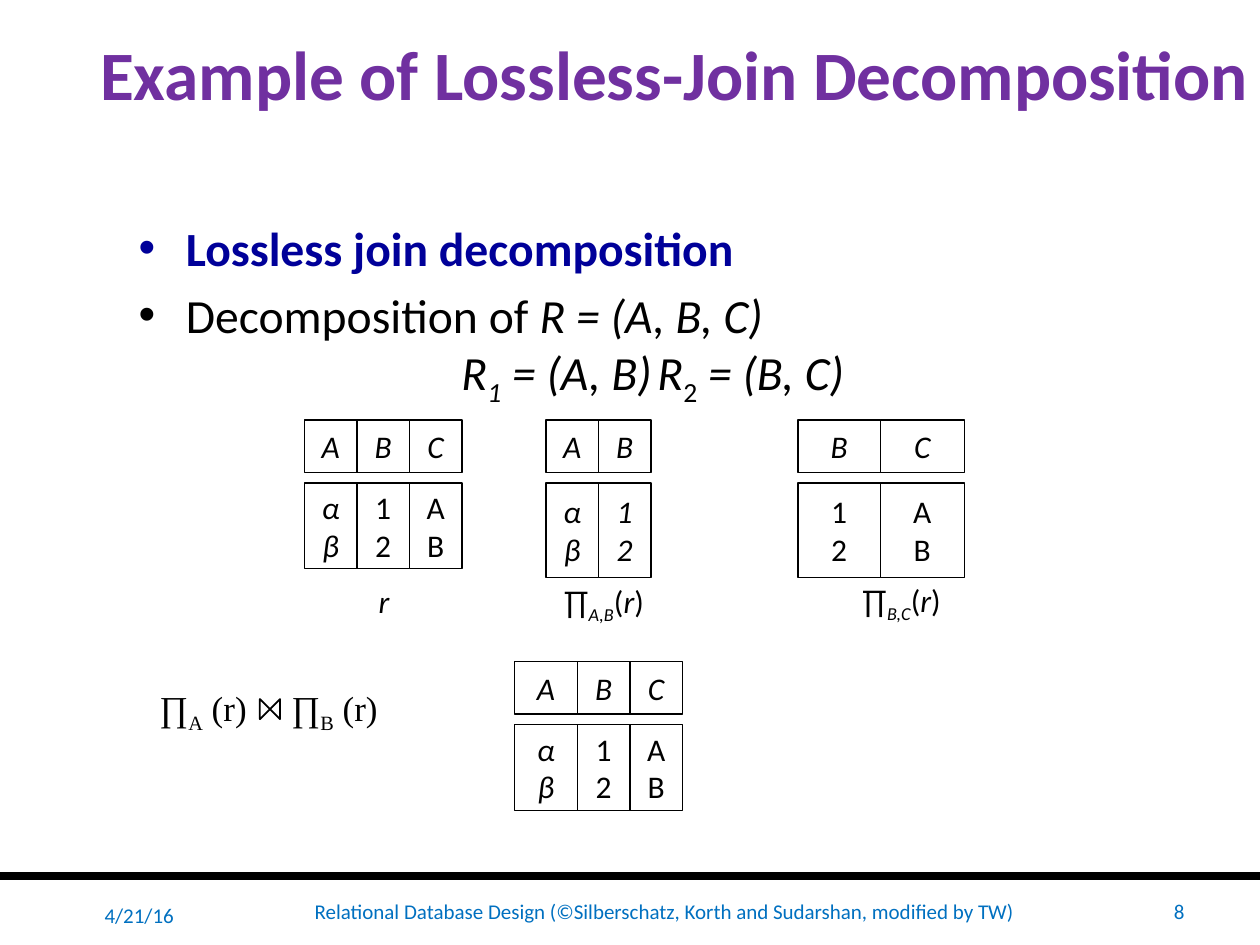
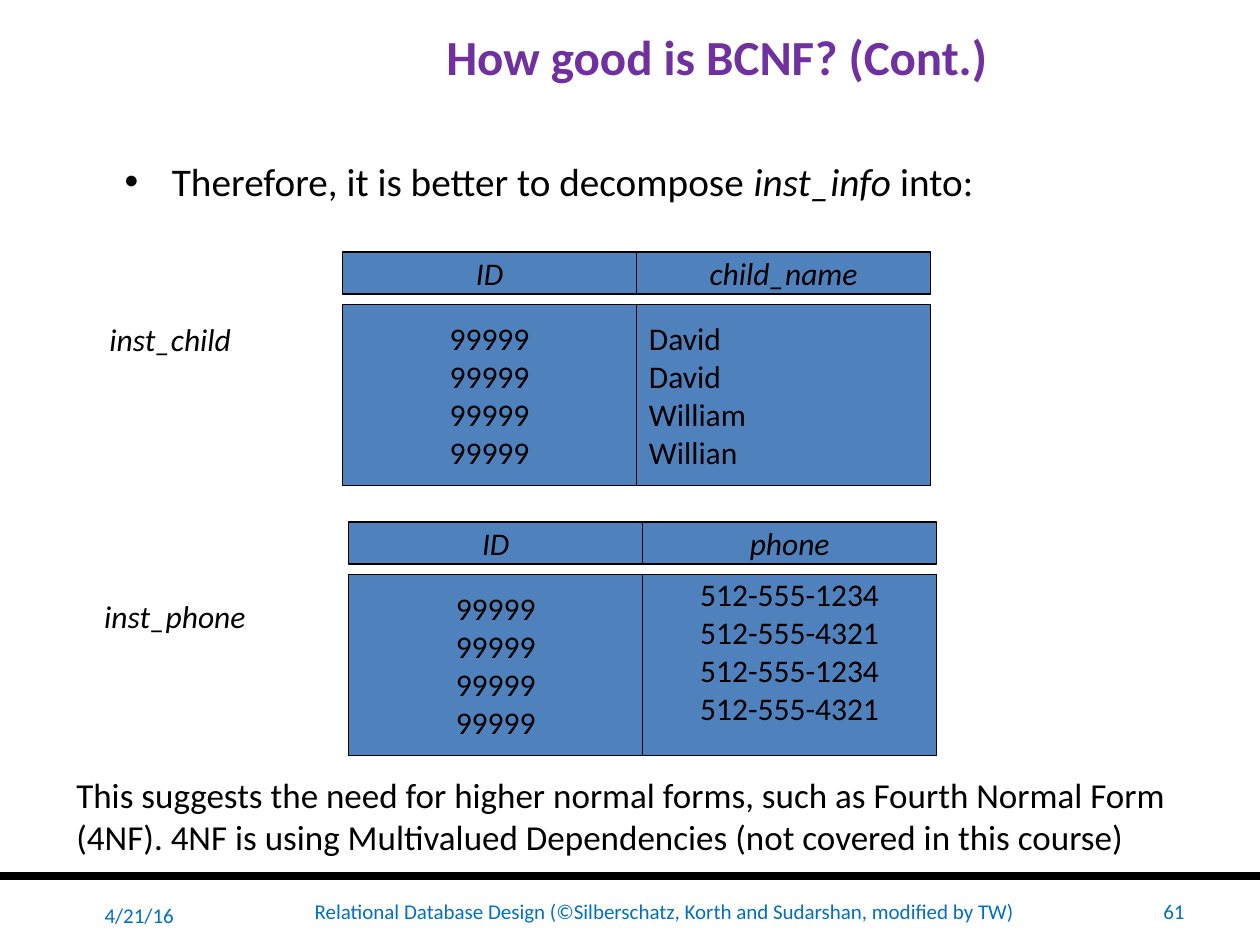
import copy
import pptx
import pptx.util
import pptx.dml.color
import pptx.enum.shapes
import pptx.enum.text
import pptx.oxml
import pptx.oxml.ns

Pt = pptx.util.Pt
qn = pptx.oxml.ns.qn
ALIGN = {"left": pptx.enum.text.PP_ALIGN.LEFT,
         "center": pptx.enum.text.PP_ALIGN.CENTER,
         "right": pptx.enum.text.PP_ALIGN.RIGHT}
ANCHOR = {"top": pptx.enum.text.MSO_ANCHOR.TOP,
          "middle": pptx.enum.text.MSO_ANCHOR.MIDDLE}

COLORS = {"title": "7030A0", "term": "000099", "ink": "000000",
          "footer": "0070C0", "paper": "FFFFFF", "table": "4F81BD"}
FONT = "Calibri"
SERIF = "Times New Roman"
HEADER_GAP = 6

FOOTER_DATE = "4/21/16"
FOOTER_TEXT = "Relational Database Design (©Silberschatz, Korth and Sudarshan, modified by TW)"

GREEK = ("α", "β")
DIGITS = ("1", "2")
LETTERS = ("A", "B")
IDS = ("99999",) * 4
CHILDREN = ("David", "David", "William", "Willian")
PHONES = ("512-555-1234", "512-555-4321") * 2


def projection(columns):
    return [[("∏", ""), (columns, "is"), ("(", ""), ("r", "i"), (")", "")]]


SLIDES = [
    {
        "number": "8",
        "title": ("Example of Lossless-Join Decomposition", (49.5, 0, 672, 83), 39.6),
        "body": ([
            [("Lossless join decomposition", "bt")],
            [("Decomposition of ", ""), ("R = (A, B, C)", "i"), ("\n", ""),
             ("\tR", "i"), ("1", "is"), (" = (A, B)\tR", "i"), ("2", "s"),
             (" = (B, C)", "i")],
        ], (72, 121.5, 551, 95), 27.2),
        "tabs": (184.5, 296.5),
        "fill": "paper",
        "header_height": 30,
        "tables": [
            {"at": (174, 240), "widths": (30, 30, 30), "height": 49,
             "columns": [("A", GREEK, "i"), ("B", DIGITS, ""), ("C", LETTERS, "")]},
            {"at": (312, 240), "widths": (30, 30), "height": 54,
             "columns": [("A", GREEK, "i"), ("B", DIGITS, "i")]},
            {"at": (456, 240), "widths": (47, 48), "height": 54,
             "columns": [("B", DIGITS, ""), ("C", LETTERS, "")]},
            {"at": (294, 378), "widths": (36, 30, 30), "height": 49,
             "columns": [("A", GREEK, "i"), ("B", DIGITS, ""), ("C", LETTERS, "")]},
        ],
        "texts": [
            ([[("r", "i")]], (209.5, 329, 20, 29),
             {"align": "center", "anchor": "middle", "wrap": False}),
            (projection("A,B"), (294, 330.5, 102, 29),
             {"align": "center", "anchor": "middle"}),
            (projection("B,C"), (474, 330, 82, 29),
             {"align": "center", "anchor": "middle"}),
            ([[("∏", ""), ("A", "s"), (" (r)\t∏", ""), ("B", "s"), (" (r)", "")]],
             (84, 389, 198, 68), {"size": 20, "font": SERIF, "tabs": (75.5,)}),
        ],
        "join_sign": (148.5, 399.5, 11.5),
    },
    {
        "number": "61",
        "title": ("How good is BCNF? (Cont.)", (129, 9.5, 561, 45), 28),
        "body": ([[("Therefore, it is better to decompose ", ""),
                   ("inst_info ", "i"), ("into:", "")]], (64, 86.5, 529, 42), 22.4),
        "tabs": (),
        "fill": "table",
        "header_height": 24,
        "tables": [
            {"at": (195.75, 144), "widths": (168, 168), "height": 103.5,
             "columns": [("ID", IDS, ""), ("child_name", CHILDREN, "", {"align": "left"})]},
            {"at": (199.25, 298.25), "widths": (168, 168), "height": 103.5,
             "columns": [("ID", IDS, ""), ("phone", PHONES, "", {"insets": (0, 16)})]},
        ],
        "texts": [
            ([[("inst_child", "i")]], (55.5, 179.5, 89, 29), {"wrap": False}),
            ([[("inst_phone", "i")]], (52.5, 337.5, 102, 29), {"wrap": False}),
            ([[("This suggests the need for higher normal forms, such as Fourth Normal "
                "Form (4NF). 4NF is using Multivalued Dependencies (not covered in this "
                "course)", "")]], (36.5, 438.5, 663, 58), {"size": 20}),
        ],
        "join_sign": None,
    },
]


def rgb(name):
    return pptx.dml.color.RGBColor.from_string(COLORS[name])


def points(values):
    return [Pt(value) for value in values]


def place(box, at):
    box.left, box.top, box.width, box.height = points(at)


def set_tabs(para, stops):
    properties = para._p.get_or_add_pPr()
    tab_list = pptx.oxml.parse_xml(
        "<a:tabLst %s/>" % pptx.oxml.ns.nsdecls("a"))
    for stop in stops:
        tab = tab_list.makeelement(qn("a:tab"), {"pos": str(int(Pt(stop))), "algn": "l"})
        tab_list.append(tab)
    properties.append(tab_list)


def write(box, paragraphs, size=18, font=FONT, color="ink", align="left",
          anchor="top", wrap=True, tabs=(), insets=None):
    frame = box.text_frame
    frame.auto_size = pptx.enum.text.MSO_AUTO_SIZE.NONE
    frame.word_wrap = wrap
    frame.vertical_anchor = ANCHOR[anchor]
    if insets:
        frame.margin_top, frame.margin_bottom = points(insets)
    for index, spans in enumerate(paragraphs):
        para = frame.add_paragraph() if index else frame.paragraphs[0]
        para.alignment = ALIGN[align]
        if tabs:
            set_tabs(para, tabs)
        for text, style in spans:
            if text == "\n":
                para.add_line_break()
                para._p[-1].append(copy.deepcopy(span._r.rPr))
                continue
            span = para.add_run()
            span.text = text
            span.font.size = Pt(size)
            span.font.name = font
            span.font.bold = "b" in style
            span.font.italic = "i" in style
            span.font.color.rgb = rgb("term" if "t" in style else color)
            if "s" in style:
                span._r.get_or_add_rPr().set("baseline", "-25000")


def add_text(page, paragraphs, at, **style):
    write(page.shapes.add_textbox(*points(at)), paragraphs, **style)


def add_cell(page, paragraphs, at, fill, **style):
    cell = page.shapes.add_shape(pptx.enum.shapes.MSO_SHAPE.RECTANGLE, *points(at))
    cell.shadow.inherit = False
    cell.fill.solid()
    cell.fill.fore_color.rgb = rgb(fill)
    cell.line.color.rgb = rgb("ink")
    cell.line.width = Pt(0.75)
    write(cell, paragraphs, **{"align": "center", "anchor": "middle", "wrap": False, **style})


def add_relation(page, table, header_height, fill):
    left, top = table["at"]
    body_top = top + header_height + HEADER_GAP
    for width, (heading, values, style, *extra) in zip(table["widths"], table["columns"]):
        add_cell(page, [[(heading, "i")]], (left, top, width, header_height), fill)
        add_cell(page, [[(value, style)] for value in values],
                 (left, body_top, width, table["height"]), fill, **(extra[0] if extra else {}))
        left += width


def add_join_sign(page, left, top, side):
    right, bottom = left + side, top + side
    builder = page.shapes.build_freeform(Pt(left), Pt(top))
    corners = [(left, bottom), (right, top), (right, bottom)]
    builder.add_line_segments([points(corner) for corner in corners], close=True)
    sign = builder.convert_to_shape()
    sign.shadow.inherit = False
    sign.fill.background()
    sign.line.color.rgb = rgb("ink")
    sign.line.width = Pt(1)


def add_master_rule(deck, page):
    rule = page.shapes.add_connector(
        pptx.enum.shapes.MSO_CONNECTOR.STRAIGHT, *points((0, 500.4, 720, 500.4)))
    rule.line.color.rgb = rgb("ink")
    rule.line.width = Pt(4.5)
    properties = rule._element.spPr
    properties.append(properties.makeelement(qn("a:effectLst"), {}))
    deck.slide_master.shapes._spTree.append(rule._element)


def add_footer(page, number):
    for text, at, align in [(FOOTER_DATE, (28, 506, 78.5, 34), "right"),
                            (FOOTER_TEXT, (118, 506, 523.5, 29), "center"),
                            (number, (652.5, 506, 31.5, 29), "right")]:
        add_text(page, [[(text, "")]], at, size=12, color="footer",
                 align=align, anchor="middle")


def build_page(deck, content):
    page = deck.slides.add_slide(deck.slide_layouts[1])
    text, at, size = content["title"]
    place(page.shapes.title, at)
    write(page.shapes.title, [[(text, "b")]], size=size, color="title",
          align="center", anchor="middle")
    paragraphs, at, size = content["body"]
    body = page.placeholders[1]
    place(body, at)
    write(body, paragraphs, size=size, tabs=content["tabs"])
    for table in content["tables"]:
        add_relation(page, table, content["header_height"], content["fill"])
    for paragraphs, at, style in content["texts"]:
        add_text(page, paragraphs, at, **style)
    if content["join_sign"]:
        add_join_sign(page, *content["join_sign"])
    add_footer(page, content["number"])
    return page


deck = pptx.Presentation()
deck.slide_width, deck.slide_height = Pt(720), Pt(540)
pages = [build_page(deck, content) for content in SLIDES]
add_master_rule(deck, pages[0])
deck.save("out.pptx")
